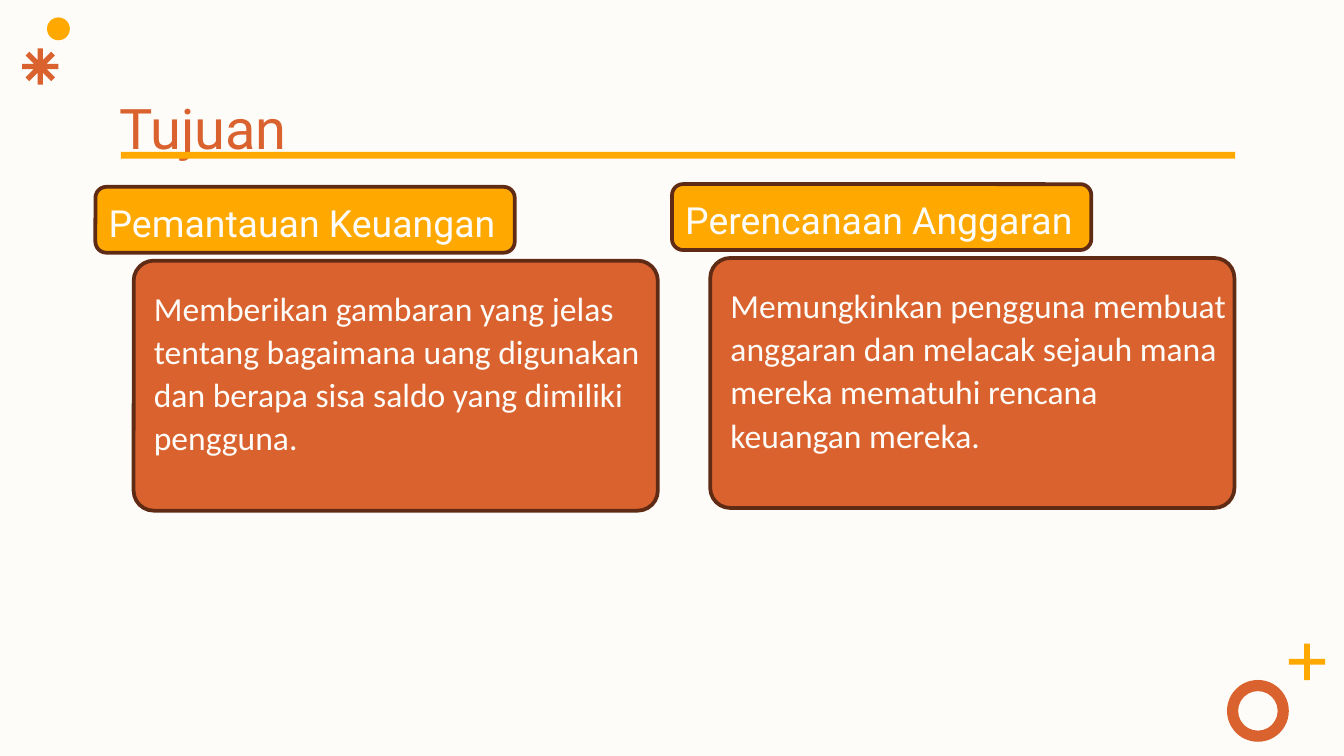
from dataclasses import dataclass
from math import cos, pi, sin

from pptx import Presentation
from pptx.dml.color import RGBColor
from pptx.enum.shapes import MSO_SHAPE as Shape
from pptx.enum.text import MSO_ANCHOR as Anchor, MSO_AUTO_SIZE as AutoSize, PP_ALIGN as Align
from pptx.util import Inches, Pt

COLS, ROWS = 100, 56.25


@dataclass(frozen=True)
class Theme:
    """Colours, fonts and type sizes."""
    paper: str = "FDFCF8"
    rust: str = "DA622E"
    amber: str = "FFA900"
    brown: str = "602B14"
    head_font: str = "Roboto"
    body_font: str = "Calibri"
    title: int = 30
    heading: int = 20
    body: int = 18
    border: int = 2


@dataclass(frozen=True)
class Box:
    """A rectangle in grid columns and rows."""
    x: float
    y: float
    w: float
    h: float

    def emu(self) -> tuple[int, ...]:
        """Return left, top, width and height in EMU."""
        cw, rh = prs.slide_width / COLS, prs.slide_height / ROWS
        return round(self.x * cw), round(self.y * rh), round(self.w * cw), round(self.h * rh)


@dataclass(frozen=True)
class Card:
    """A goal with its top-left grid position."""
    x: float
    y: float
    heading: str
    body: str


T = Theme()
CARDS = (
    Card(7.1, 13.9, "Pemantauan Keuangan",
         "Memberikan gambaran yang jelas tentang bagaimana uang digunakan "
         "dan berapa sisa saldo yang dimiliki pengguna."),
    Card(50, 13.7, "Perencanaan Anggaran",
         "Memungkinkan pengguna membuat anggaran dan melacak sejauh mana "
         "mereka mematuhi rencana keuangan mereka."),
)


def paint(sp, fill: str, line: str | None = None) -> None:
    """Set the fill and outline and drop the shadow."""
    sp.shadow.inherit = False
    sp.fill.solid()
    sp.fill.fore_color.rgb = RGBColor.from_string(fill)
    if line:
        sp.line.color.rgb = RGBColor.from_string(line)
        sp.line.width = Pt(T.border)
    else:
        sp.line.fill.background()


def add_shape(s, kind: Shape, box: Box, fill: str, line: str | None = None, adj: float | None = None):
    """Add a preset shape."""
    sp = s.shapes.add_shape(kind, *box.emu())
    paint(sp, fill, line)
    if adj is not None:
        sp.adjustments[0] = adj
    return sp


def add_asterisk(s, box: Box, half: float, arms: int = 8) -> None:
    """Add an asterisk whose arms have the given half width."""
    x, y, w, h = box.emu()
    radius, step = w / 2, 2 * pi / arms
    arm = half * w / box.w
    notch = arm / sin(step / 2)
    pts = []
    for k in range(arms):
        a = k * step
        corners = [(radius * cos(a) - d * sin(a), radius * sin(a) + d * cos(a)) for d in (-arm, arm)]
        corners.append((notch * cos(a + step / 2), notch * sin(a + step / 2)))
        pts += [(round(x + w / 2 + px), round(y + h / 2 + py)) for px, py in corners]
    fb = s.shapes.build_freeform(*pts[0])
    fb.add_line_segments(pts[1:])
    paint(fb.convert_to_shape(), T.rust)


def write(sp, box: Box, text: str, *, font: str, size: int, color: str, spacing: float = 1.15,
          after: int = 0, indent: float = 0, anchor: Anchor = Anchor.TOP) -> None:
    """Place a text shape and fill it with one formatted paragraph."""
    sp.left, sp.top, sp.width, sp.height = box.emu()
    tf = sp.text_frame
    tf.word_wrap, tf.auto_size, tf.vertical_anchor = True, AutoSize.NONE, anchor
    tf.margin_left = tf.margin_right = tf.margin_top = tf.margin_bottom = Inches(0.1)
    p = tf.paragraphs[0]
    p.alignment, p.line_spacing = Align.LEFT, spacing
    p.space_before, p.space_after = Pt(0), Pt(after)
    pPr = p._p.get_or_add_pPr()
    pPr.set("marL", str(Inches(indent)))
    pPr.set("indent", "0")
    pPr.append(pPr.makeelement("{http://schemas.openxmlformats.org/drawingml/2006/main}buNone", {}))
    r = p.add_run()
    r.text = text
    r.font.name, r.font.size = font, Pt(size)
    r.font.color.rgb = RGBColor.from_string(color)


def add_card(s, card: Card, body) -> None:
    """Draw a heading tab over a panel holding the body placeholder."""
    x, y = card.x, card.y
    panel = add_shape(s, Shape.ROUNDED_RECTANGLE, Box(x + 2.85, y + 5.5, 39, 18.6), T.rust, T.brown, 0.08)
    panel.element.addnext(body.element)
    write(body, Box(x + 1.85, y + 6.3, 41, 17.7), card.body, font=T.body_font, size=T.body,
          color=T.paper, spacing=1.07, after=8, indent=0.15)
    add_shape(s, Shape.ROUNDED_RECTANGLE, Box(x, y, 31.2, 4.9), T.amber, T.brown)
    label = Box(x, y + 1, 31.2, 4.3)
    write(s.shapes.add_textbox(*label.emu()), label, card.heading, font=T.head_font,
          size=T.heading, color=T.paper, anchor=Anchor.BOTTOM)


prs = Presentation()
prs.slide_width, prs.slide_height = Inches(10), Inches(5.625)
s = prs.slides.add_slide(prs.slide_layouts.get_by_name("Two Content"))
s.background.fill.solid()
s.background.fill.fore_color.rgb = RGBColor.from_string(T.paper)
title, *bodies = list(s.placeholders)[:3]

add_shape(s, Shape.DONUT, Box(91.3, 50.6, 4.6, 4.6), T.rust, adj=0.18)
add_asterisk(s, Box(1.65, 3.6, 2.7, 2.7), 0.2)
add_shape(s, Shape.CROSS, Box(95.9, 47.9, 2.7, 2.7), T.amber, adj=0.42)
add_shape(s, Shape.OVAL, Box(3.5, 1.3, 1.7, 1.7), T.amber)
write(title, Box(7.9, 5.2, 84.3, 6.3), "Tujuan", font=T.head_font, size=T.title, color=T.rust)
add_shape(s, Shape.RECTANGLE, Box(9, 11.3, 82.9, 0.5), T.amber)
for card, body in zip(CARDS, bodies):
    add_card(s, card, body)
prs.save("out.pptx")
